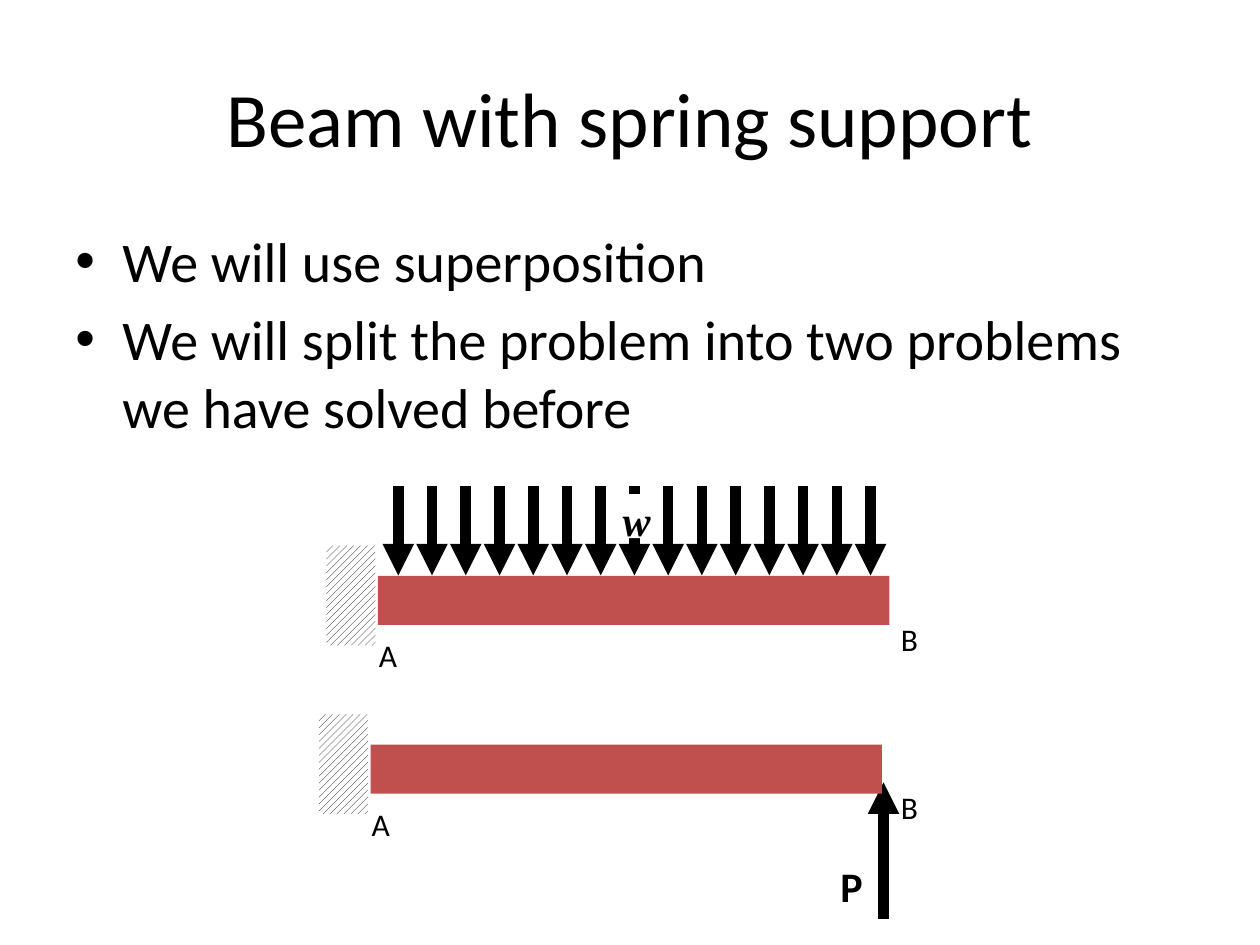
from lxml import etree
from pptx import Presentation, util as u
from pptx.dml.color import RGBColor
from pptx.enum import dml, shapes, text
from pptx.oxml.ns import qn

TITLE = "Beam with spring support"
POINTS = [
    "We will use superposition",
    "We will split the problem into two problems we have solved before",
]
# Left and top of each wall, in cm
LOADED, PROPPED = (6.58, 11), (6.43, 14.4)
B_LEFT = 17.91
# Distributed load: count, first and last x, top and tip y
LOADS = 15
FIRST, LAST, TOP, TIP = 8.03, 17.55, 9.8, 11.6
BLACK, WHITE, RED = "000000", "FFFFFF", "C0504D"

deck = Presentation()
deck.slide_width, deck.slide_height = u.Cm(25.4), u.Cm(19.05)
slide = deck.slides.add_slide(deck.slide_layouts[6])


def color(code):
    return RGBColor.from_string(code)


def cm(*sizes):
    return [u.Cm(size) for size in sizes]


def write(box, lines, size=18, font="Calibri", bold=False, italic=False,
          align="LEFT", anchor="TOP", inset=None, bullet=False):
    """Fill a shape or text box with one paragraph per line."""
    frame = box.text_frame
    frame.word_wrap = True
    frame.vertical_anchor = text.MSO_ANCHOR[anchor]
    if inset:
        (frame.margin_left, frame.margin_top,
         frame.margin_right, frame.margin_bottom) = cm(*inset)
    for i, line in enumerate(lines):
        para = frame.add_paragraph() if i else frame.paragraphs[0]
        para.alignment = text.PP_ALIGN[align]
        run = para.add_run()
        run.text = line
        face = run.font
        face.name, face.size = font, u.Pt(size)
        face.bold, face.italic = bold, italic
        face.color.rgb = color(BLACK)
        if bullet:
            para.space_before = u.Pt(size * 0.2)
            props = para._p.get_or_add_pPr()
            props.set("marL", str(u.Cm(0.95)))
            props.set("indent", str(u.Cm(-0.95)))
            etree.SubElement(props, qn("a:buFont")).set("typeface", "Arial")
            etree.SubElement(props, qn("a:buChar")).set("char", "•")


def label(place, lines, **style):
    write(slide.shapes.add_textbox(*cm(*place)), lines, **style)


def block(place, fill=None):
    """Add a plain rectangle, hatched when no fill is given."""
    box = slide.shapes.add_shape(shapes.MSO_SHAPE.RECTANGLE, *cm(*place))
    box.shadow.inherit = False
    box.line.fill.background()
    if fill:
        box.fill.solid()
        box.fill.fore_color.rgb = color(fill)
    else:
        box.fill.patterned()
        box.fill.pattern = dml.MSO_PATTERN.WIDE_UPWARD_DIAGONAL
        box.fill.fore_color.rgb = color(BLACK)
        box.fill.back_color.rgb = color(WHITE)
    return box


def arrow(x, start, end):
    line = slide.shapes.add_connector(
        shapes.MSO_CONNECTOR.STRAIGHT, *cm(x, start, x, end))
    line.line.color.rgb = color(BLACK)
    line.line.width = u.Pt(6)
    etree.SubElement(line.line._get_or_add_ln(),
                     qn("a:tailEnd")).set("type", "triangle")
    etree.SubElement(line._element.spPr, qn("a:effectLst"))


def beam(x, y):
    """Draw wall, beam and end labels from the wall's corner."""
    block((x, y, 0.99, 2.01))
    block((x + 1.04, y + 0.61, 10.31, 0.99), RED)
    label((x + 0.81, y + 1.7, 0.99, 1.02), ["A"])
    label((B_LEFT, y + 1.37, 0.99, 1.02), ["B"])


label((1.27, 0.76, 22.86, 3.18), [TITLE], size=44,
      align="CENTER", anchor="MIDDLE")
label((1.27, 4.44, 22.86, 12.57), POINTS, size=32, bullet=True)

beam(*LOADED)
step = (LAST - FIRST) / (LOADS - 1)
for i in range(LOADS):
    arrow(FIRST + i * step, TOP, TIP)
write(block((12.34, 9.96, 0.89, 0.89), WHITE), ["w"], size=24,
      font="Times New Roman", bold=True, italic=True, inset=(0.21, 0, 0, 0))

arrow(17.81, 18.52, 15.77)
label((16.69, 17.22, 1.5, 1.27), ["P"], size=24, bold=True)
beam(*PROPPED)

deck.save("out.pptx")
